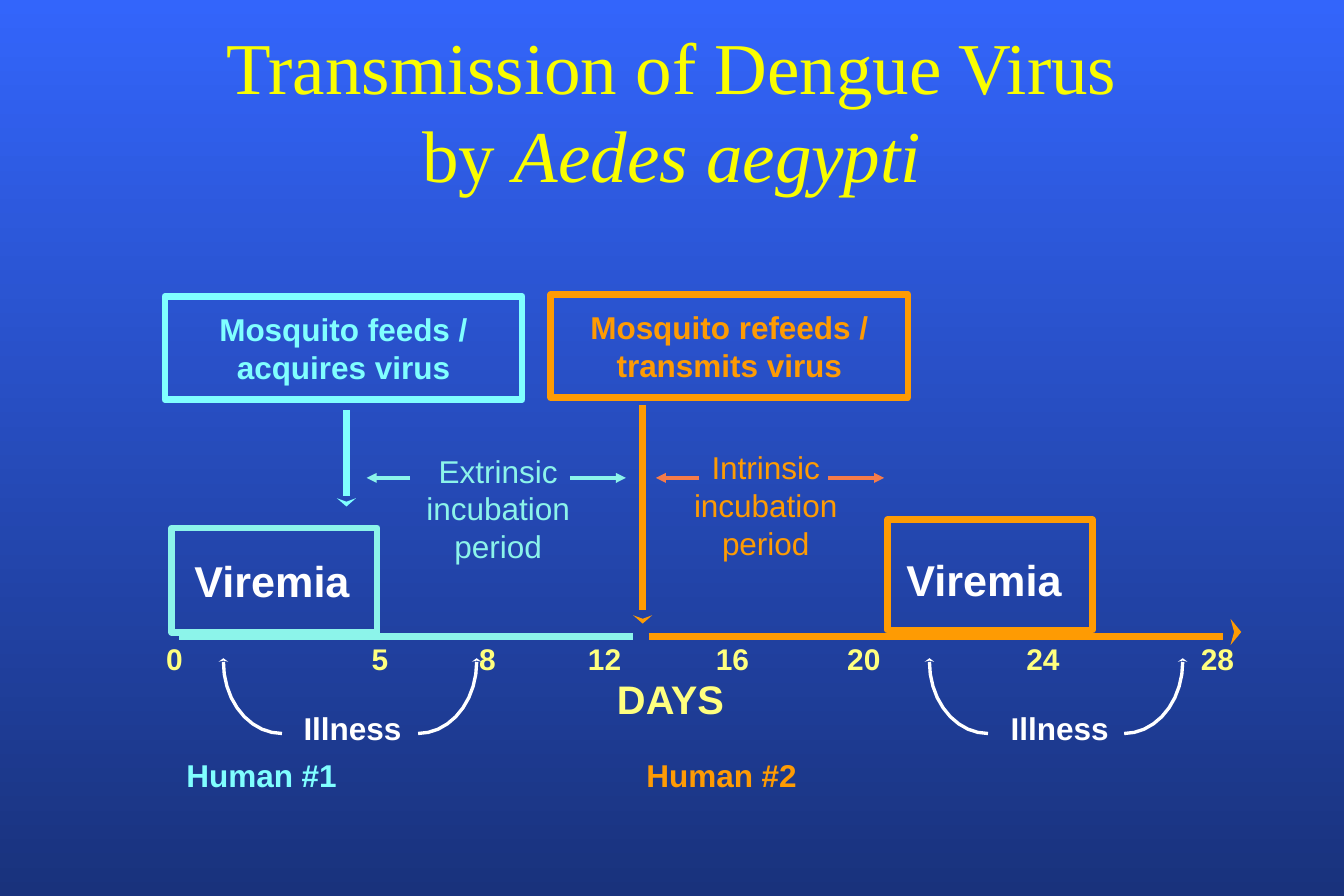
import math
from lxml import etree
from pptx import Presentation
from pptx import util as u
from pptx.dml.color import RGBColor
from pptx.enum import shapes, text
from pptx.oxml.ns import qn

prs = Presentation()
prs.slide_width, prs.slide_height = u.Inches(11.25), u.Inches(7.5)
s = prs.slides.add_slide(prs.slide_layouts[6])
G = prs.slide_width // 90
rgb = RGBColor.from_string
CYAN, AQUA, ORANGE, CORAL = "80FFFF", "8CF4EA", "FE9B03", "F57B49"
WHITE, YELLOW, TITLE = "FFFFFF", "FFFF7F", "FAFD00"


def write(sp, lines, size, color, bold=True, font="Arial"):
    tf = sp.text_frame
    tf.word_wrap = False
    tf.vertical_anchor = text.MSO_ANCHOR.MIDDLE
    tf.text = "\n".join(lines)
    for p in tf.paragraphs:
        p.alignment = text.PP_ALIGN.CENTER
        p.font.name, p.font.size, p.font.bold = font, u.Pt(size), bold
        p.font.color.rgb = rgb(color)
    return tf


def outline(points, color, filled):
    pts = [(x * G, y * G) for x, y in points]
    fb = s.shapes.build_freeform(*pts[0], scale=1.0)
    fb.add_line_segments(pts[1:], close=filled)
    sp = fb.convert_to_shape()
    sp.shadow.inherit = False
    if filled:
        sp.fill.solid()
        sp.fill.fore_color.rgb = rgb(color)
        sp.line.fill.background()
    else:
        sp.fill.background()
        sp.line.color.rgb = rgb(color)
        sp.line.width = u.Pt(2)


bg = s.background.fill
bg.gradient()
bg.gradient_angle = 270
for stop, color, pos in zip(bg.gradient_stops, ("3365FB", "19327C"), (0, 1)):
    stop.color.rgb = rgb(color)
    stop.position = pos

sp = s.shapes.add_textbox(11 * G, 2 * G, 68 * G, int(10.67 * G))
tf = write(sp, ["Transmission of Dengue Virus", "by "], 44, TITLE, False, "Times New Roman")
r = tf.paragraphs[1].add_run()
r.text = "Aedes aegypti"
r.font.italic = True

for x, y, w, h, color, lines in [
    (11.5, 35.36, 13.76, 7, AQUA, []),
    (59.44, 34.8, 13.72, 7.4, ORANGE, []),
    (11.04, 19.84, 23.92, 6.92, CYAN, ["Mosquito feeds /", "acquires virus"]),
    (36.88, 19.72, 23.92, 6.92, ORANGE, ["Mosquito refeeds /", "transmits virus"]),
]:
    sp = s.shapes.add_shape(shapes.MSO_SHAPE.RECTANGLE, *(int(v * G) for v in (x, y, w, h)))
    sp.shadow.inherit = False
    sp.fill.background()
    sp.line.color.rgb = rgb(color)
    sp.line.width = u.Pt(4)
    if lines:
        write(sp, lines, 19, color)

labels = [
    (18.22, 38.84, ["Viremia"], 26, WHITE, True),
    (65.9, 38.76, ["Viremia"], 26, WHITE, True),
    (33.36, 34.04, ["Extrinsic", "incubation", "period"], 19, AQUA, False),
    (51.28, 33.8, ["Intrinsic", "incubation", "period"], 19, ORANGE, False),
    (44.9, 46.8, ["DAYS"], 24, YELLOW, True),
    (17.52, 51.88, ["Human #1"], 19, CYAN, True),
    (48.32, 51.88, ["Human #2"], 19, ORANGE, True),
    (23.6, 48.76, ["Illness"], 19, WHITE, True),
    (70.96, 48.76, ["Illness"], 19, WHITE, True),
]
days = {0: 11.68, 5: 25.44, 8: 32.64, 12: 40.48, 16: 49.04, 20: 57.84, 24: 69.84, 28: 81.52}
labels += [(x, 44.08, [str(day)], 18, YELLOW, True) for day, x in days.items()]
for cx, cy, lines, size, color, bold in labels:
    w = 1.6 + max(map(len, lines)) * size / 11
    h = 0.8 + len(lines) * size / 7.7
    sp = s.shapes.add_textbox(*(int(v * G) for v in (cx - w / 2, cy - h / 2, w, h)))
    write(sp, lines, size, color, bold)

for x1, y1, x2, y2, color, width, arrow in [
    (23.2, 27.44, 23.2, 33.2, CYAN, 4, False),
    (43.04, 27.12, 43.04, 40.88, ORANGE, 4, False),
    (12, 42.64, 42.4, 42.64, AQUA, 4, False),
    (43.44, 42.64, 81.92, 42.64, ORANGE, 4, False),
    (27.44, 32, 24.56, 32, AQUA, 2, True),
    (38.16, 32, 41.92, 32, AQUA, 2, True),
    (55.44, 32, 59.2, 32, CORAL, 2, True),
    (46.8, 32, 43.92, 32, CORAL, 2, True),
]:
    c = s.shapes.add_connector(shapes.MSO_CONNECTOR.STRAIGHT, *(int(v * G) for v in (x1, y1, x2, y2)))
    c.line.color.rgb = rgb(color)
    c.line.width = u.Pt(width)
    spPr = c._element.spPr
    if arrow:
        etree.SubElement(spPr.find(qn("a:ln")), qn("a:tailEnd"), type="triangle")
    etree.SubElement(spPr, qn("a:effectLst"))

heads = [(23.2, 33.36, 0.64, 0.56, 0.24, CYAN), (43.04, 41.2, 0.64, 0.56, 0.24, ORANGE)]
for center in (23.44, 70.72):
    for side in (-1, 1):
        angles = [math.radians(10 * i) for i in range(10)]
        arc = [(center + side * (4.56 + 3.92 * math.cos(a)), 44.32 + 4.8 * math.sin(a)) for a in angles]
        outline(arc, WHITE, False)
        heads.append((center + side * 8.48, 44.32, 0.32, -0.24, -0.08, WHITE))
for x, y, half, tip, notch, color in heads:
    outline([(x - half, y), (x, y + tip), (x + half, y), (x, y + notch)], color, True)
outline([(82.4, 41.44), (83.12, 42.32), (82.4, 43.2), (82.64, 42.32)], ORANGE, True)

prs.save("out.pptx")
